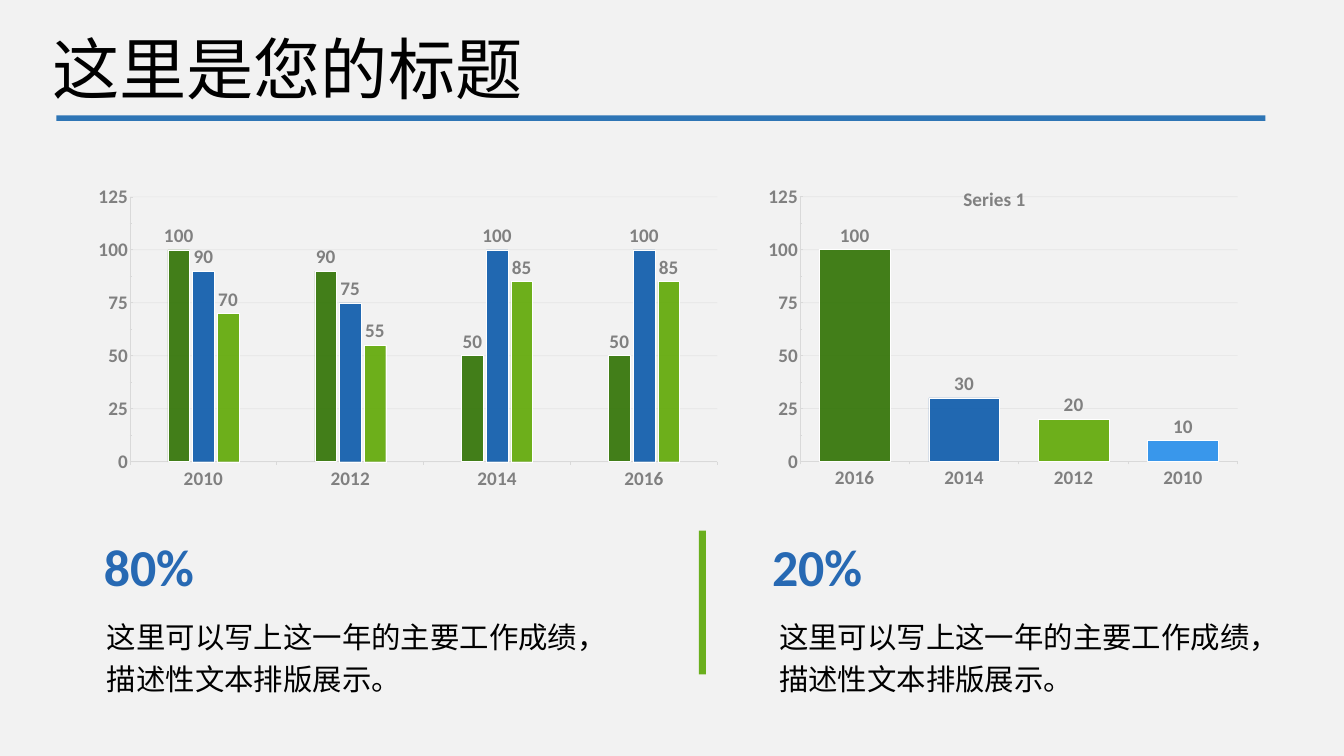
from dataclasses import dataclass

from lxml import etree
from pptx import Presentation
from pptx.chart.data import CategoryChartData
from pptx.dml.color import RGBColor
from pptx.enum.chart import (XL_CHART_TYPE, XL_LABEL_POSITION,
                             XL_TICK_LABEL_POSITION, XL_TICK_MARK)
from pptx.enum.shapes import MSO_SHAPE
from pptx.enum.text import MSO_ANCHOR, MSO_AUTO_SIZE, PP_ALIGN
from pptx.oxml.ns import qn
from pptx.util import Pt

COLUMN = XL_CHART_TYPE.COLUMN_CLUSTERED
OUTSIDE_END = XL_LABEL_POSITION.OUTSIDE_END
LABELS_LOW = XL_TICK_LABEL_POSITION.LOW
TICK_IN = XL_TICK_MARK.INSIDE
TICK_OUT = XL_TICK_MARK.OUTSIDE
RECT = MSO_SHAPE.RECTANGLE
MIDDLE = MSO_ANCHOR.MIDDLE
FIT_SHAPE = MSO_AUTO_SIZE.SHAPE_TO_FIT_TEXT
LEFT = PP_ALIGN.LEFT
CENTER = PP_ALIGN.CENTER

PX = 9144


@dataclass(frozen=True)
class Theme:
    back: str = "F2F2F2"
    text: str = "000000"
    rule: str = "2E75B5"
    divider: str = "6AAF1D"
    figure: str = "2769B3"
    chart_text: str = "324863"
    label: str = "808080"
    axis: str = "D9D9D9"
    edge: str = "FFFFFF"
    bars: tuple = ("2F7202", "0B5AAB", "5FA804", "258EEB")
    cjk: str = "Noto Sans CJK SC"
    latin: str = "Calibri"
    chart_font: str = "Lato"
    title_size: float = 96
    figure_size: float = 74
    body_size: float = 42
    label_size: float = 27.4
    chart_size: float = 10


THEME = Theme()


def px(*lengths):
    return [n * PX for n in lengths]


def rgb(value):
    return RGBColor.from_string(value)


def style_font(font, name, size, color, bold=False):
    font.name = name
    font.size = Pt(size)
    font.bold = bold
    font.color.rgb = rgb(color)


def set_alpha(element, percent):
    for clr in element.iter(qn("a:srgbClr")):
        etree.SubElement(clr, qn("a:alpha"), val=str(percent * 1000))


def fill_bar(fmt, color):
    fmt.fill.solid()
    fmt.fill.fore_color.rgb = rgb(color)
    set_alpha(fmt.fill._xPr.find(qn("a:solidFill")), 90)


def style_line(line, color, width):
    line.color.rgb = rgb(color)
    line.width = Pt(width)


def style_label(font):
    style_font(font, THEME.latin, THEME.label_size, THEME.label, True)


def write_text(tf, text, name, size, color, bold=False, wrap=True,
               inset=0, align=LEFT, spacing=None):
    tf.word_wrap = wrap
    tf.auto_size = FIT_SHAPE
    tf.margin_left = tf.margin_right = inset * PX
    tf.margin_top = tf.margin_bottom = inset * PX
    p = tf.paragraphs[0]
    p.alignment = align
    p.line_spacing = spacing
    r = p.add_run()
    r.text = text
    style_font(r.font, name, size, color, bold)
    etree.SubElement(r._r.get_or_add_rPr(), qn("a:ea"), typeface=name)


def add_bar(s, box, color):
    sp = s.shapes.add_shape(RECT, *px(*box))
    sp.shadow.inherit = False
    sp.fill.solid()
    sp.fill.fore_color.rgb = rgb(color)
    sp.line.fill.background()


def add_heading(s, box, text):
    x, y, w, h = box
    title = s.shapes.title
    title.left, title.top, title.width, title.height = px(x, y, 946, h)
    tf = title.text_frame
    tf.vertical_anchor = MIDDLE
    write_text(tf, text, THEME.cjk, THEME.title_size, THEME.text,
               wrap=False, inset=6, align=CENTER)
    add_bar(s, (x + 15, y + h + 22, w, 11), THEME.rule)


def set_plot_box(chart, box):
    area = chart._chartSpace.chart.plotArea
    for old in area.findall(qn("c:layout")):
        area.remove(old)
    layout = etree.Element(qn("c:layout"))
    manual = etree.SubElement(layout, qn("c:manualLayout"))
    values = [("layoutTarget", "inner"), ("xMode", "edge"), ("yMode", "edge")]
    values += zip("xywh", box)
    for tag, value in values:
        etree.SubElement(manual, qn("c:" + tag), val=str(value))
    area.insert(0, layout)


def style_axes(chart):
    cat, val = chart.category_axis, chart.value_axis
    for axis, tick in ((cat, TICK_OUT), (val, TICK_IN)):
        style_label(axis.tick_labels.font)
        style_line(axis.format.line, THEME.axis, 1)
        axis.major_tick_mark = tick
    cat.tick_label_position = LABELS_LOW
    val.minor_tick_mark = TICK_IN
    val.minimum_scale, val.maximum_scale = 0, 125
    val.major_unit, val.minor_unit = 25, 12.5
    val.tick_labels.number_format = "0"
    val.tick_labels.number_format_is_linked = False
    val.has_major_gridlines = True
    grid = val.major_gridlines.format.line
    style_line(grid, THEME.axis, 1)
    set_alpha(val.major_gridlines._xAx.find(qn("c:majorGridlines")), 48)


def add_columns(s, box, cats, rows, gap, overlap, plot_box, title=None):
    data = CategoryChartData(number_format="0")
    data.categories = cats
    for i, values in enumerate(rows, 1):
        data.add_series(f"Series {i}", values)
    chart = s.shapes.add_chart(COLUMN, *px(*box), data).chart
    style_font(chart.font, THEME.chart_font, THEME.chart_size,
               THEME.chart_text)
    chart.has_legend = False
    chart.has_title = title is not None
    if title:
        r = chart.chart_title.text_frame.paragraphs[0].add_run()
        r.text = title
        style_label(r.font)
        for overlay in chart._chartSpace.iter(qn("c:overlay")):
            overlay.set("val", "1")
    set_plot_box(chart, plot_box)
    style_axes(chart)
    plot = chart.plots[0]
    plot.gap_width, plot.overlap = gap, overlap
    plot.vary_by_categories = False
    for i, series in enumerate(plot.series):
        fill_bar(series.format, THEME.bars[i])
        style_line(series.format.line, THEME.edge, 0.5 if i else 0.75)
        labels = series.data_labels
        labels.show_value = True
        labels.position = OUTSIDE_END
        labels.number_format = "0"
        labels.number_format_is_linked = False
        style_label(labels.font)
    return chart


def color_points(series, colors):
    for i, color in enumerate(colors):
        fmt = series.points[i].format
        fill_bar(fmt, color)
        style_line(fmt.line, THEME.edge, 0.75)


def add_summary(s, box, figure, text, indent):
    x, y, w, h = box
    number = s.shapes.add_textbox(*px(x, y, 192, 118))
    write_text(number.text_frame, figure, THEME.latin, THEME.figure_size,
               THEME.figure, bold=True, wrap=False)
    body = s.shapes.add_textbox(*px(x + indent, y + 153, w - indent, h - 153))
    write_text(body.text_frame, text, THEME.cjk, THEME.body_size, THEME.text,
               spacing=1.2)


def main():
    prs = Presentation()
    prs.slide_width, prs.slide_height = px(2667, 1500)
    s = prs.slides.add_slide(prs.slide_layouts[5])
    s.background.fill.solid()
    s.background.fill.fore_color.rgb = rgb(THEME.back)

    add_heading(s, (97, 62, 2399, 145), "这里是您的标题")
    years = ["2010", "2012", "2014", "2016"]
    add_columns(s, (156, 344, 1274, 648), years,
                [(100, 90, 50, 50), (90, 75, 100, 100), (70, 55, 85, 85)],
                351, -14, (0.08, 0.072, 0.915, 0.811))
    ranking = add_columns(s, (1486, 344, 975, 655), years[::-1],
                          [(100, 30, 20, 10)], 55, -16,
                          (0.104, 0.071, 0.891, 0.802), "Series 1")
    color_points(ranking.plots[0].series[0], THEME.bars)

    note = "这里可以写上这一年的主要工作成绩，描述性文本排版展示。"
    add_summary(s, (206, 1061, 1037, 354), "80%", note, 6)
    add_bar(s, (1387, 1053, 14, 285), THEME.divider)
    add_summary(s, (1532, 1061, 1020, 354), "20%", note, 14)
    prs.save("out.pptx")


if __name__ == "__main__":
    main()
